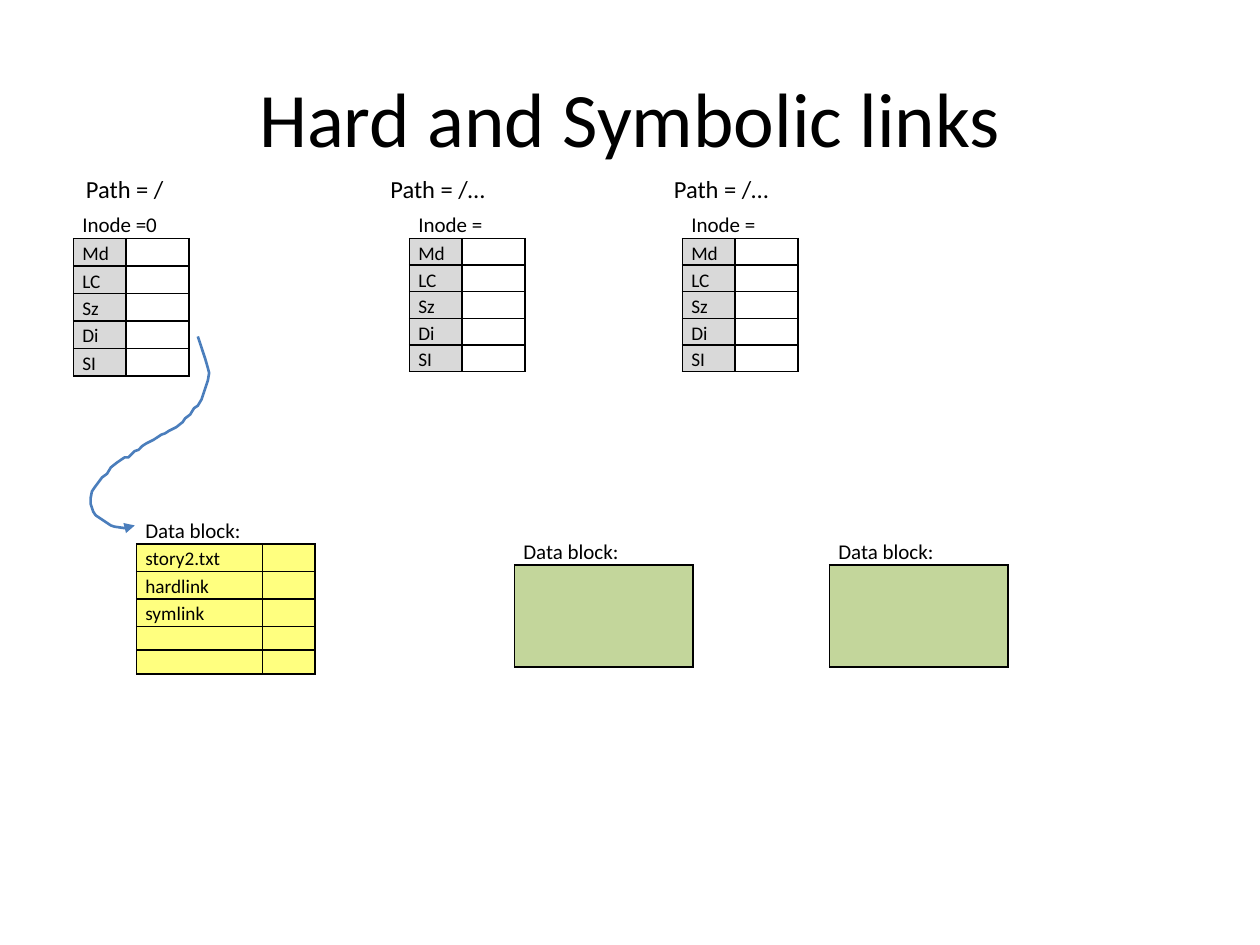
"""Builds the slide on hard and symbolic links: inode tables, data blocks and a pointer."""
from dataclasses import dataclass

import pptx
import pptx.dml.color
import pptx.enum.text
import pptx.oxml
import pptx.oxml.ns
import pptx.util


@dataclass(frozen=True)
class Theme:
    font: str = "Calibri"
    ink: str = "000000"
    key: str = "D9D9D9"
    entry: str = "FFFF00"
    block: str = "C3D69B"
    arrow: str = "4B7EBC"
    title: int = 44
    path_label: int = 14
    caption: int = 12
    cell: int = 11


T = Theme()
RGB = pptx.dml.color.RGBColor.from_string
Pt = pptx.util.Pt
NS = pptx.oxml.ns.nsdecls("a")

prs = pptx.Presentation()
prs.slide_width = pptx.util.Inches(10)
prs.slide_height = pptx.util.Inches(7.5)
UNIT = prs.slide_width // 120
slide = prs.slides.add_slide(prs.slide_layouts[6])


def write(tf, text, size, spacing=1.0):
    p = tf.paragraphs[0]
    p.text = text
    p.line_spacing = spacing
    p.font.name, p.font.size = T.font, Pt(size)
    p.font.color.rgb = RGB(T.ink)
    p._p.get_or_add_endParaRPr().set("sz", str(size * 100))
    return p


def add_grid(left, top, widths, heights, rows, fills, alpha=100):
    """Adds a captioned table; its first row is an open caption across all columns."""
    box = [round(n * UNIT) for n in (left, top, sum(widths), sum(heights))]
    frame = slide.shapes.add_table(len(rows), len(widths), *box)
    table = frame.table
    table.first_row = table.horz_banding = False
    for col, width in zip(table.columns, widths):
        col.width = round(width * UNIT)
    for row, height in zip(table.rows, heights):
        row.height = round(height * UNIT)
    if len(widths) > 1:
        table.cell(0, 0).merge(table.cell(0, len(widths) - 1))
    for r, texts in enumerate(rows):
        for c, text in enumerate(texts):
            cell = table.cell(r, c)
            cell.margin_left = cell.margin_right = pptx.util.Inches(0.07)
            cell.margin_top = cell.margin_bottom = 0
            write(cell.text_frame, text, T.cell if r else T.caption, 1.15)
            fill = fills[c] if r else None
            if fill:
                cell.fill.solid()
                cell.fill.fore_color.rgb = RGB(fill)
                if alpha < 100:
                    color = cell._tc.tcPr.find(".//" + pptx.oxml.ns.qn("a:srgbClr"))
                    color.append(pptx.oxml.parse_xml(f'<a:alpha {NS} val="{alpha * 1000}"/>'))
            else:
                cell.fill.background()
            for i, side in enumerate("LRTB" if r else "B"):
                cell._tc.tcPr.insert(i, pptx.oxml.parse_xml(
                    f'<a:ln{side} {NS} w="12700"><a:solidFill><a:srgbClr val="{T.ink}"/>'
                    f'</a:solidFill></a:ln{side}>'))


labels = [
    ("Hard and Symbolic links", T.title, 6, 3.6, 108, 15),
    ("Path = /", T.path_label, 7, 16, 10, 4),
    ("Path = /…", T.path_label, 36, 16, 12, 4),
    ("Path = /…", T.path_label, 63, 16, 12, 4),
]
for text, size, *box in labels:
    s = slide.shapes.add_textbox(*(round(n * UNIT) for n in box))
    tf = s.text_frame
    p = write(tf, text, size)
    if size == T.title:
        tf.word_wrap = True
        tf.vertical_anchor = pptx.enum.text.MSO_ANCHOR.MIDDLE
        p.alignment = pptx.enum.text.PP_ALIGN.CENTER
    else:
        tf.word_wrap = False

CAPTION_ROW = 2.8
FIELDS = [(name, "") for name in ("Md", "LC", "Sz", "Di", "SI")]
for caption, left, row in [("Inode =0", 7, 2.62), ("Inode =", 39, 2.53), ("Inode =", 65, 2.53)]:
    add_grid(left, 19.92, [5, 6], [CAPTION_ROW] + [row] * 5,
             [(caption, "")] + FIELDS, [T.key, None])

ENTRIES = [(name, "") for name in ("Data block:", "story2.txt", "hardlink", "symlink", "", "")]
add_grid(13, 49, [12, 5], [CAPTION_ROW] + [2.62] * 3 + [2.28] * 2,
         ENTRIES, [T.entry] * 2, alpha=50)

for left in (49, 79):
    add_grid(left, 51, [17], [CAPTION_ROW, 9.75], [("Data block:",), ("",)], [T.block])

CURVE = [
    (157, 267), (160, 276), (163, 285), (165, 292), (166, 296), (165, 302), (162, 311),
    (160, 317), (157, 322), (154, 324), (151, 329), (147, 332), (145, 335), (140, 339),
    (134, 342), (131, 344), (128, 345), (122, 349), (116, 352), (113, 354), (110, 357),
    (107, 358), (102, 363), (99, 363), (93, 367), (88, 371), (85, 376), (81, 379),
    (75, 387), (73, 390), (72, 395), (72, 400), (74, 406), (76, 409), (79, 411),
    (85, 415), (88, 417), (91, 418), (98, 419), (103, 419), (107, 417),
]
builder = slide.shapes.build_freeform(*CURVE[0], scale=pptx.util.Inches(0.01))
builder.add_line_segments(CURVE[1:], close=False)
s = builder.convert_to_shape()
s.shadow.inherit = False
s.fill.background()
s.line.color.rgb = RGB(T.arrow)
s.line.width = Pt(1.5)
s.line._get_or_add_ln().append(pptx.oxml.parse_xml(f'<a:tailEnd {NS} type="triangle"/>'))

prs.save("out.pptx")
